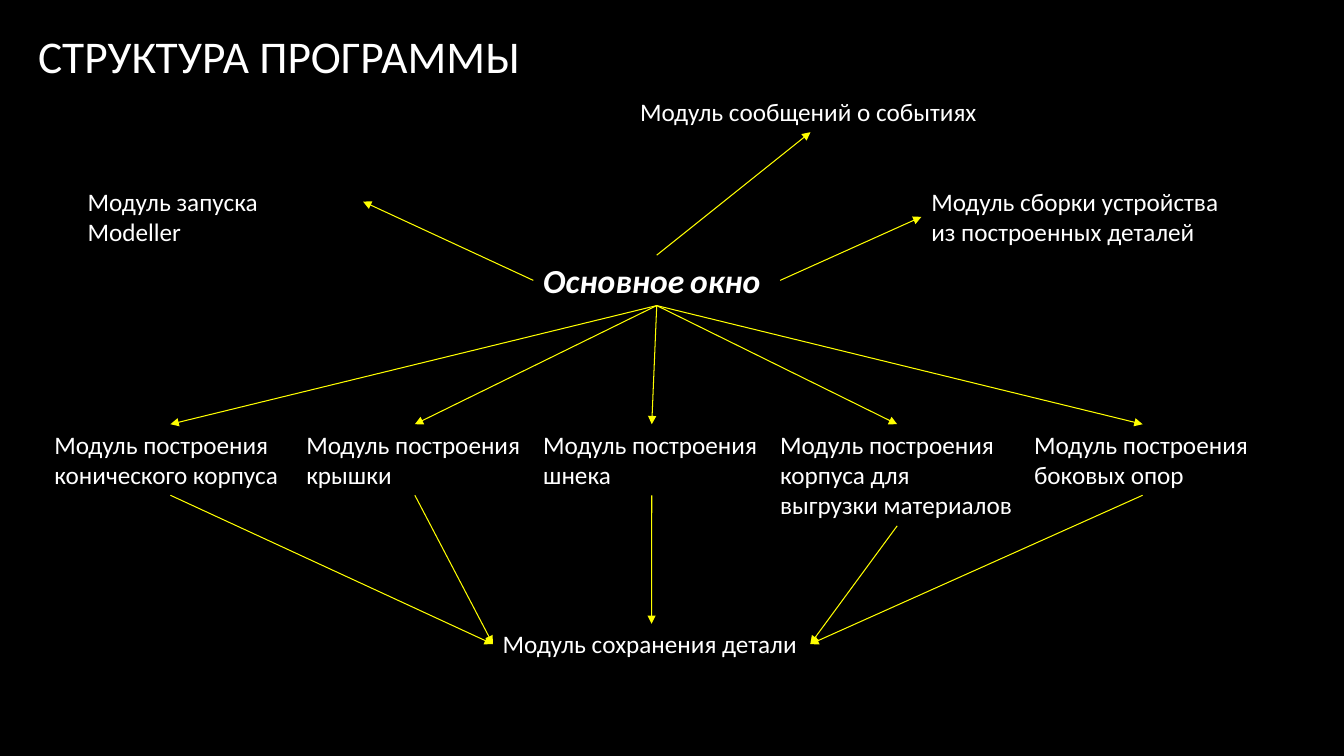
import dataclasses

import pptx
import pptx.dml.color
import pptx.enum.shapes
import pptx.enum.text
import pptx.oxml
import pptx.oxml.ns
import pptx.util

Cm = pptx.util.Cm
TOP, LEFT, BOTTOM, RIGHT = range(4)


@dataclasses.dataclass(frozen=True)
class Theme:
    font: str = "Calibri"
    background: str = "000000"
    text: str = "FFFFFF"
    arrow: str = "FFFF00"
    title_size: float = 32.4
    hub_size: float = 24
    module_size: float = 18
    arrow_width: float = 0.75


@dataclasses.dataclass(frozen=True)
class Box:
    left: float
    top: float
    width: float
    height: float


THEME = Theme()


def color(value):
    return pptx.dml.color.RGBColor.from_string(value)


def format_span(span, size, strong=False):
    span.font.name = THEME.font
    span.font.size = pptx.util.Pt(size)
    span.font.color.rgb = color(THEME.text)
    if strong:
        span.font.bold = span.font.italic = True


def add_box(page, box):
    return page.shapes.add_textbox(
        Cm(box.left), Cm(box.top), Cm(box.width), Cm(box.height)
    )


def add_module(page, left, top, width, text):
    height = 0.25 + 0.77 * len(text.split("\n"))
    module = add_box(page, Box(left, top, width, height))
    frame = module.text_frame
    frame.text = text
    frame.word_wrap = False
    frame.auto_size = pptx.enum.text.MSO_AUTO_SIZE.SHAPE_TO_FIT_TEXT
    for para in frame.paragraphs:
        for span in para.runs:
            format_span(span, THEME.module_size)
    return module


def add_arrow(page, source, source_side, target, target_side):
    arrow = page.shapes.add_connector(
        pptx.enum.shapes.MSO_CONNECTOR.STRAIGHT, 0, 0, 0, 0
    )
    arrow.begin_connect(source, source_side)
    arrow.end_connect(target, target_side)
    arrow.line.color.rgb = color(THEME.arrow)
    arrow.line.width = pptx.util.Pt(THEME.arrow_width)
    head = pptx.oxml.parse_xml(
        f'<a:tailEnd {pptx.oxml.ns.nsdecls("a")} type="triangle"/>'
    )
    arrow.line._get_or_add_ln().append(head)
    effects = pptx.oxml.parse_xml(f'<a:effectLst {pptx.oxml.ns.nsdecls("a")}/>')
    arrow._element.spPr.append(effects)


def place_title(page, box):
    frame = add_box(page, box).text_frame
    frame.text = "СТРУКТУРА ПРОГРАММЫ"
    frame.word_wrap = True
    frame.vertical_anchor = pptx.enum.text.MSO_ANCHOR.MIDDLE
    format_span(frame.paragraphs[0].runs[0], THEME.title_size)


def place_hub(page, box):
    hub = add_box(page, box)
    frame = hub.text_frame
    frame.word_wrap = True
    frame.auto_size = pptx.enum.text.MSO_AUTO_SIZE.SHAPE_TO_FIT_TEXT
    para = frame.paragraphs[0]
    for text, size in (
        ("Основное", THEME.hub_size),
        (" ", THEME.module_size),
        ("окно", THEME.hub_size),
    ):
        span = para.add_run()
        span.text = text
        format_span(span, size, strong=True)
    return hub


def place_services(page, box, hub):
    services = (
        (0, 2.26, 7.19, "Модуль запуска Modeller", LEFT, RIGHT),
        (13.92, 0, 9.09, "Модуль сообщений о событиях", TOP, BOTTOM),
        (21.26, 2.26, 7.82, "Модуль сборки устройства\nиз построенных деталей", RIGHT, LEFT),
    )
    for left, top, width, text, hub_side, side in services:
        module = add_module(page, box.left + left, box.top + top, width, text)
        add_arrow(page, hub, hub_side, module, side)


def place_builders(page, box, hub):
    builders = (
        (6.35, "Модуль построения\nконического корпуса"),
        (5.97, "Модуль построения\nкрышки"),
        (5.97, "Модуль построения\nшнека"),
        (6.4, "Модуль построения\nкорпуса для\nвыгрузки материалов"),
        (5.97, "Модуль построения\nбоковых опор"),
    )
    modules = []
    left = box.left
    for width, text in builders:
        module = add_module(page, left, box.top, width, text)
        add_arrow(page, hub, BOTTOM, module, TOP)
        modules.append(module)
        left += width
    return modules


def place_saving(page, box, builders):
    saving = add_module(page, box.left, box.top, box.width, "Модуль сохранения детали")
    for builder, side in zip(builders, (LEFT, LEFT, TOP, RIGHT, RIGHT)):
        add_arrow(page, builder, BOTTOM, saving, side)


def build_structure_slide(deck):
    page = deck.slides.add_slide(deck.slide_layouts[6])
    page.background.fill.solid()
    page.background.fill.fore_color.rgb = color(THEME.background)
    place_title(page, Box(0.71, 0.79, 13.94, 1.19))
    hub = place_hub(page, Box(13.44, 6.43, 6.22, 1.27))
    place_services(page, Box(1.96, 2.31, 29.08, 4.06), hub)
    builders = place_builders(page, Box(1.12, 10.69, 30.66, 2.56), hub)
    place_saving(page, Box(12.42, 15.72, 8, 1.02), builders)


def main():
    deck = pptx.Presentation()
    deck.slide_width = Cm(33.87)
    deck.slide_height = Cm(19.05)
    build_structure_slide(deck)
    deck.save("out.pptx")


if __name__ == "__main__":
    main()
